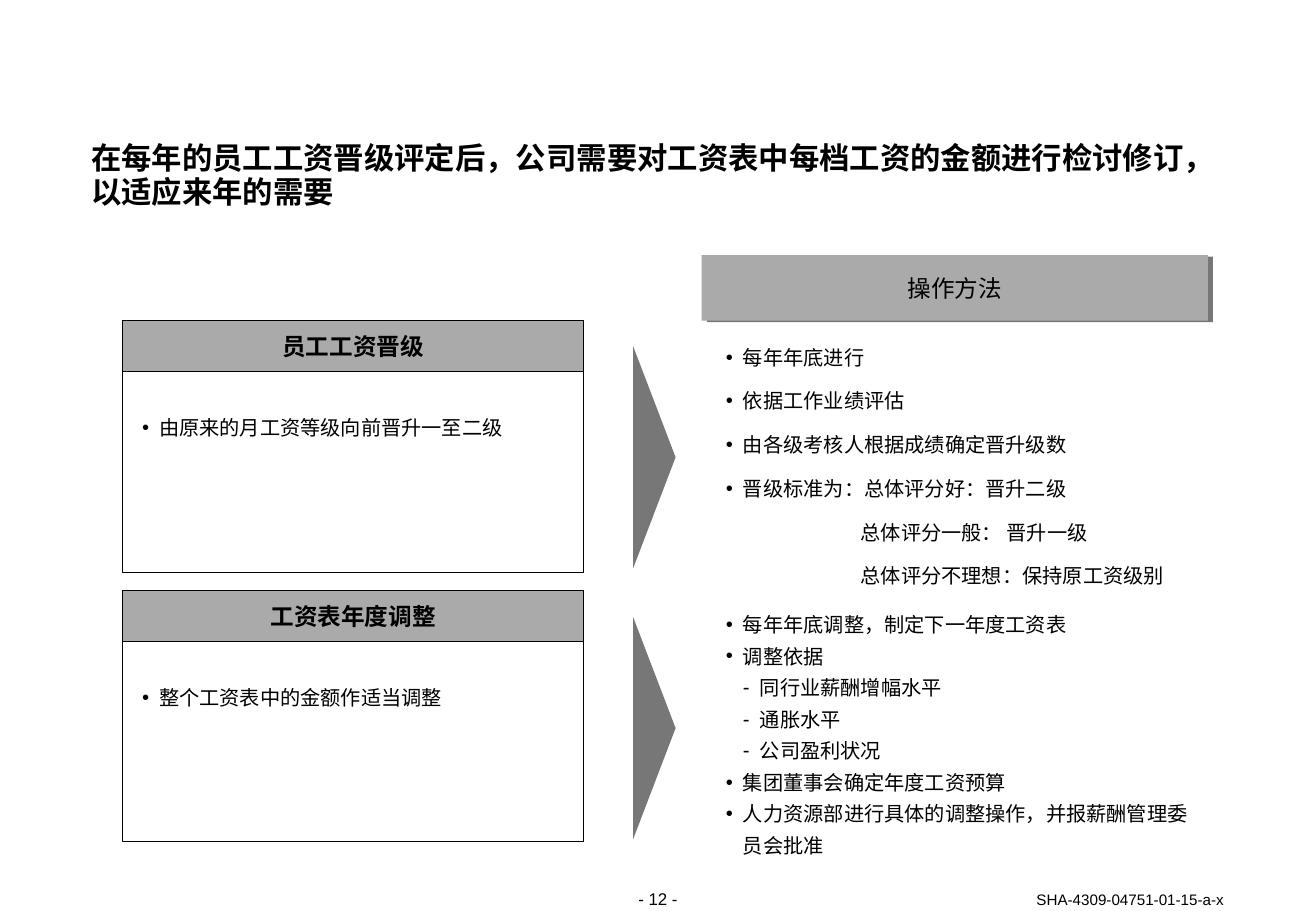
from dataclasses import dataclass

from lxml.etree import SubElement
from pptx import Presentation
from pptx.dml.color import RGBColor
from pptx.enum.shapes import MSO_SHAPE as Shape
from pptx.enum.text import MSO_ANCHOR as Anchor, MSO_AUTO_SIZE as AutoSize, PP_ALIGN as Align
from pptx.oxml.ns import qn
from pptx.util import Inches, Pt

BLACK = RGBColor(0x00, 0x00, 0x00)
GREY = RGBColor(0xAA, 0xAA, 0xAA)
DARK_GREY = RGBColor(0x77, 0x77, 0x77)
HANG = 0.14
CARD_LEFT, CARD_WIDTH = 1.01, 3.8
LIST_LEFT, LIST_WIDTH = 5.98, 3.87


@dataclass(frozen=True)
class Line:
    text: str
    bullet: str = "•"
    left: float = HANG


@dataclass(frozen=True)
class Topic:
    heading: str
    summary: str
    top: float
    arrow_top: float
    list_top: float
    list_height: float
    spacing: float
    steps: tuple[Line, ...]


TOPICS = (
    Topic("员工工资晋级", "由原来的月工资等级向前晋升一至二级", 2.64, 2.85, 2.68, 2.16, 1.8, (
        Line("每年年底进行"),
        Line("依据工作业绩评估"),
        Line("由各级考核人根据成绩确定晋升级数"),
        Line("晋级标准为：总体评分好：晋升二级"),
        Line("总体评分一般： 晋升一级", "", 1.11),
        Line("总体评分不理想：保持原工资级别", "", 1.11),
    )),
    Topic("工资表年度调整", "整个工资表中的金额作适当调整", 4.86, 5.08, 4.98, 2.08, 1.3, (
        Line("每年年底调整，制定下一年度工资表"),
        Line("调整依据"),
        Line("同行业薪酬增幅水平", "-", 2 * HANG),
        Line("通胀水平", "-", 2 * HANG),
        Line("公司盈利状况", "-", 2 * HANG),
        Line("集团董事会确定年度工资预算"),
        Line("人力资源部进行具体的调整操作，并报薪酬管理委员会批准"),
    )),
)


def place(sp, left: float, top: float, width: float, height: float) -> None:
    sp.left, sp.top = Inches(left), Inches(top)
    sp.width, sp.height = Inches(width), Inches(height)


def set_bullet(p, line: Line) -> None:
    """Give the paragraph its indent and its bullet, or none."""
    pPr = p._p.get_or_add_pPr()
    pPr.set("marL", str(Inches(line.left)))
    pPr.set("indent", str(-Inches(HANG) if line.bullet else 0))
    if line.bullet:
        SubElement(pPr, qn("a:buFont"), typeface="Arial")
        SubElement(pPr, qn("a:buChar"), char=line.bullet)
    else:
        SubElement(pPr, qn("a:buNone"))


def write(sp, *lines: str | Line, size: float = 12, bold: bool = False,
          align=Align.LEFT, anchor=Anchor.MIDDLE, spacing=1.0) -> None:
    tf = sp.text_frame
    tf.word_wrap, tf.auto_size, tf.vertical_anchor = True, AutoSize.NONE, anchor
    tf.margin_left = tf.margin_top = tf.margin_right = tf.margin_bottom = 0
    for i, line in enumerate(lines):
        p = tf.add_paragraph() if i else tf.paragraphs[0]
        if isinstance(line, Line):
            set_bullet(p, line)
        p.alignment, p.line_spacing = align, spacing
        p.space_before = p.space_after = Pt(0)
        r = p.add_run()
        r.text = line.text if isinstance(line, Line) else line
        r.font.name, r.font.size, r.font.bold = "Arial", Pt(size), bold
        r.font.color.rgb = BLACK


def add_shape(s, kind, left: float, top: float, width: float, height: float,
              fill: RGBColor | None = None, outlined: bool = False):
    sp = s.shapes.add_shape(kind, 0, 0, 0, 0)
    place(sp, left, top, width, height)
    sp.shadow.inherit = False
    if fill is None:
        sp.fill.background()
    else:
        sp.fill.solid()
        sp.fill.fore_color.rgb = fill
    if outlined:
        sp.line.color.rgb = BLACK
        sp.line.width = Pt(0.5)
    else:
        sp.line.fill.background()
    return sp


def add_text(s, text: str, left: float, top: float, width: float, height: float, **fmt) -> None:
    sp = s.shapes.add_textbox(0, 0, 0, 0)
    place(sp, left, top, width, height)
    write(sp, text, **fmt)


def add_hard_shadow(sp) -> None:
    effects = sp._element.spPr.find(qn("a:effectLst"))
    shadow = SubElement(effects, qn("a:outerShdw"), dist=str(Pt(3.2)),
                        dir=str(18 * 60000), algn="ctr", rotWithShape="0")
    SubElement(shadow, qn("a:srgbClr"), val=str(DARK_GREY))


def add_topic(s, topic: Topic, summary, steps) -> None:
    """Draw the card on the left, the arrow and the steps on the right."""
    add_shape(s, Shape.RECTANGLE, CARD_LEFT, topic.top + 0.4, CARD_WIDTH, 1.67, outlined=True)
    header = add_shape(s, Shape.RECTANGLE, CARD_LEFT, topic.top, CARD_WIDTH, 0.42, GREY, True)
    write(header, topic.heading, size=14, bold=True, align=Align.CENTER)
    place(summary, CARD_LEFT + 0.16, topic.top + 0.78, 3.51, 0.2)
    write(summary, Line(topic.summary))

    length, depth = 1.83, 0.35
    arrow = add_shape(s, Shape.ISOSCELES_TRIANGLE, 5.39 - length / 2,
                      topic.arrow_top + (length - depth) / 2, length, depth, DARK_GREY)
    arrow.rotation = 90

    place(steps, LIST_LEFT, topic.list_top, LIST_WIDTH, topic.list_height)
    write(steps, *topic.steps, spacing=topic.spacing)


def main() -> None:
    prs = Presentation()
    prs.slide_width, prs.slide_height = Inches(10.84), Inches(7.5)
    s = prs.slides.add_slide(prs.slide_layouts.get_by_name("Comparison"))

    title = s.shapes.title
    place(title, 0.75, 1.17, 9.33, 0.56)
    write(title, "在每年的员工工资晋级评定后，公司需要对工资表中每档工资的金额进行检讨修订，以适应来年的需要",
          size=18, bold=True, anchor=Anchor.TOP, spacing=Pt(20))

    method = add_shape(s, Shape.RECTANGLE, 5.78, 2.1, 4.17, 0.54, GREY)
    add_hard_shadow(method)
    write(method, "操作方法", size=14, align=Align.CENTER)

    for i, topic in enumerate(TOPICS):
        add_topic(s, topic, s.placeholders[2 * i + 1], s.placeholders[2 * i + 2])

    add_text(s, "- 12 -", 4.85, 7.32, 1.14, 0.17, size=10, align=Align.CENTER, anchor=Anchor.TOP)
    add_text(s, "SHA-4309-04751-01-15-a-x", 7.64, 7.33, 2.44, 0.15, size=9,
             align=Align.RIGHT, anchor=Anchor.BOTTOM, spacing=Pt(11))
    prs.save("out.pptx")


if __name__ == "__main__":
    main()
